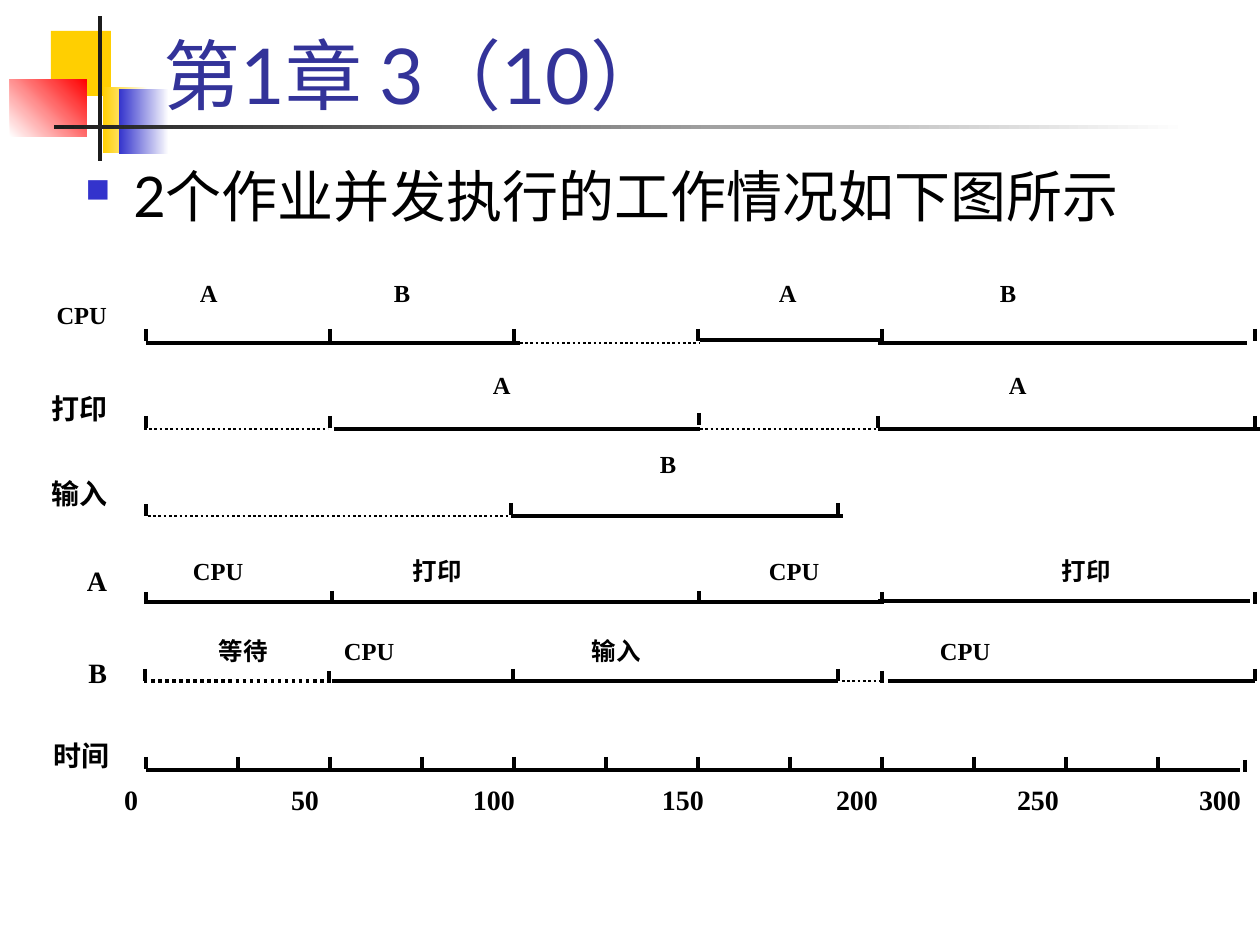
from lxml.etree import SubElement
from pptx import Presentation
from pptx.dml.color import RGBColor
from pptx.enum.dml import MSO_LINE
from pptx.enum.shapes import MSO_CONNECTOR, MSO_SHAPE
from pptx.enum.text import MSO_ANCHOR, PP_ALIGN
from pptx.oxml.ns import qn
from pptx.util import Emu, Pt

PX = 914400 / 126
BLACK, WHITE, YELLOW, BLUE, DARK = "000000", "FFFFFF", "FFCF01", "3333CC", "1C1C1C"
SERIF, SANS = "Times New Roman", "Lato"
TICK = 12

# left, top, width, height, colours (two make a gradient), gradient angle
ORNAMENTS = [
    (51, 31, 60, 65, [YELLOW], 0),
    (103, 87, 45, 66, [YELLOW, WHITE], 0),
    (119, 89, 50, 65, [BLUE, WHITE], 0),
    (10, 79, 77, 58, [WHITE, "FF0000"], 45),
    (98, 16, 4, 145, [DARK], 0),
    (54, 125, 1134, 4, [DARK, WHITE], 0),
]

TITLE = "第1章 3（10）"
BODY = [("2", SANS), ("个作业并发执行的工作情况如下图所示", SERIF)]

# segments: x1, x2, y, style; ticks: x, top; marks: text, left
ROWS = [
    dict(name="CPU", size=14, box=(24, 302, 83, 57), mark_top=280, filled=True,
         segments=[(146, 520, 343, "solid"), (520, 700, 343, "fine"),
                   (700, 882, 340, "solid"), (878, 1247, 343, "solid")],
         ticks=[(x, 329) for x in (146, 330, 514, 698, 882, 1255)],
         marks=[("A", 200), ("B", 394), ("A", 779), ("B", 1000)]),
    dict(name="打印", size=16, box=(24, 394, 83, 53), mark_top=372, filled=True,
         segments=[(144, 328, 429, "fine"), (334, 700, 429, "solid"),
                   (700, 878, 429, "fine"), (878, 1260, 429, "solid")],
         ticks=[(146, 416), (330, 416), (699, 413), (878, 416), (1255, 416)],
         marks=[("A", 493), ("A", 1009)]),
    dict(name="输入", size=16, box=(24, 479, 83, 53), mark_top=451, filled=True,
         segments=[(148, 511, 516, "fine"), (511, 843, 516, "solid")],
         ticks=[(146, 504), (511, 503), (838, 503)],
         marks=[("B", 660)]),
    dict(name="A", size=16, box=(24, 566, 83, 53), mark_top=558, filled=False,
         segments=[(146, 882, 602, "solid"), (878, 1250, 601, "solid")],
         ticks=[(146, 592), (332, 591), (699, 591), (882, 592), (1255, 592)],
         marks=[("CPU", 193), ("打印", 413), ("CPU", 769), ("打印", 1062)]),
    dict(name="B", size=16, box=(24, 658, 83, 53), mark_top=638, filled=False,
         segments=[(144, 332, 681, "dotted"), (332, 511, 681, "solid"),
                   (511, 838, 681, "solid"), (842, 884, 681, "fine"),
                   (888, 1255, 681, "solid")],
         ticks=[(145, 669), (329, 671), (513, 669), (838, 669), (882, 671), (1255, 669)],
         marks=[("等待", 219), ("CPU", 344), ("输入", 592), ("CPU", 940)]),
    dict(name="时间", size=16, box=(25, 741, 84, 49), mark_top=0, filled=False,
         segments=[(146, 1240, 770, "solid")],
         ticks=[(146 + 92 * step, 757) for step in range(12)] + [(1245, 760)],
         marks=[]),
]

AXIS_BOX = (124, 785, 1126, 34)
AXIS = [("0", 124), ("50", 291), ("100", 473), ("150", 662),
        ("200", 836), ("250", 1017), ("300", 1199)]

LINE_STYLES = {
    "solid": dict(width=Pt(2)),
    "dotted": dict(width=Pt(2), dash_style=MSO_LINE.ROUND_DOT),
    "fine": dict(width=Pt(1.5), dash_style=MSO_LINE.ROUND_DOT),
}


def px(value):
    return Emu(round(value * PX))


def colour(value):
    return RGBColor.from_string(value)


def assign(target, values):
    for name, value in values.items():
        setattr(target, name, value)


def add_ornament(page, left, top, width, height, colours, angle):
    shape = page.shapes.add_shape(MSO_SHAPE.RECTANGLE, *map(px, (left, top, width, height)))
    shape.shadow.inherit = False
    shape.line.fill.background()
    if len(colours) == 1:
        shape.fill.solid()
        shape.fill.fore_color.rgb = colour(colours[0])
        return
    shape.fill.gradient()
    shape.fill.gradient_angle = angle
    for stop, value in zip(shape.fill.gradient_stops, colours):
        stop.color.rgb = colour(value)


def add_line(page, x1, y1, x2, y2, style="solid"):
    line = page.shapes.add_connector(MSO_CONNECTOR.STRAIGHT, *map(px, (x1, y1, x2, y2)))
    line.line.color.rgb = colour(BLACK)
    assign(line.line, LINE_STYLES[style])
    SubElement(line._element.spPr, qn("a:effectLst"))


def add_box(page, place, filled=False, **frame_format):
    """Add a wrapping text box and return its first paragraph."""
    box = page.shapes.add_textbox(*map(px, place))
    if filled:
        box.fill.solid()
        box.fill.fore_color.rgb = colour(WHITE)
    assign(box.text_frame, dict(word_wrap=True, **frame_format))
    return box.text_frame.paragraphs[0]


def add_span(para, text, size, font=SERIF, value=BLACK, bold=False):
    span = para.add_run()
    span.text = text
    assign(span.font, dict(size=Pt(size), name=font, bold=bold))
    span.font.color.rgb = colour(value)


def add_label(page, place, text, size, align=PP_ALIGN.JUSTIFY, filled=False, tabs=()):
    para = add_box(page, place, filled, margin_left=0, margin_top=0,
                   margin_right=0, margin_bottom=0)
    if tabs:
        stops = SubElement(para._p.get_or_add_pPr(), qn("a:tabLst"))
        for position in tabs:
            SubElement(stops, qn("a:tab"), pos=str(px(position)), algn="l")
    assign(para, dict(alignment=align, line_spacing=0.96))
    add_span(para, text, size, bold=True)


def add_bullet(para):
    properties = para._p.get_or_add_pPr()
    properties.set("marL", str(px(48)))
    properties.set("indent", str(px(-48)))
    SubElement(SubElement(properties, qn("a:buClr")), qn("a:srgbClr"), val=BLUE)
    SubElement(properties, qn("a:buSzPct"), val="60000")
    SubElement(properties, qn("a:buChar"), char="■")


def add_row(page, row):
    add_label(page, row["box"], row["name"], row["size"], PP_ALIGN.RIGHT, row["filled"])
    for x1, x2, y, style in row["segments"]:
        add_line(page, x1, y, x2, y, style)
    for x, top in row["ticks"]:
        add_line(page, x, top, x, top + TICK)
    for text, left in row["marks"]:
        add_label(page, (left, row["mark_top"], 60, 43), text, 14, filled=row["filled"])


def main():
    deck = Presentation()
    assign(deck, dict(slide_width=px(1260), slide_height=px(945)))
    page = deck.slides.add_slide(deck.slide_layouts[6])

    for ornament in ORNAMENTS:
        add_ornament(page, *ornament)

    title = add_box(page, (151, 21, 1074, 105), vertical_anchor=MSO_ANCHOR.BOTTOM)
    add_span(title, TITLE, 44, SANS, "333399")

    body = add_box(page, (73, 155, 1160, 113))
    add_bullet(body)
    for text, font in BODY:
        add_span(body, text, 32, font)

    for row in ROWS:
        add_row(page, row)

    add_label(page, AXIS_BOX, "\t".join(text for text, _ in AXIS), 16, PP_ALIGN.LEFT,
              filled=True, tabs=[left - AXIS_BOX[0] for _, left in AXIS[1:]])

    deck.save("out.pptx")


if __name__ == "__main__":
    main()
